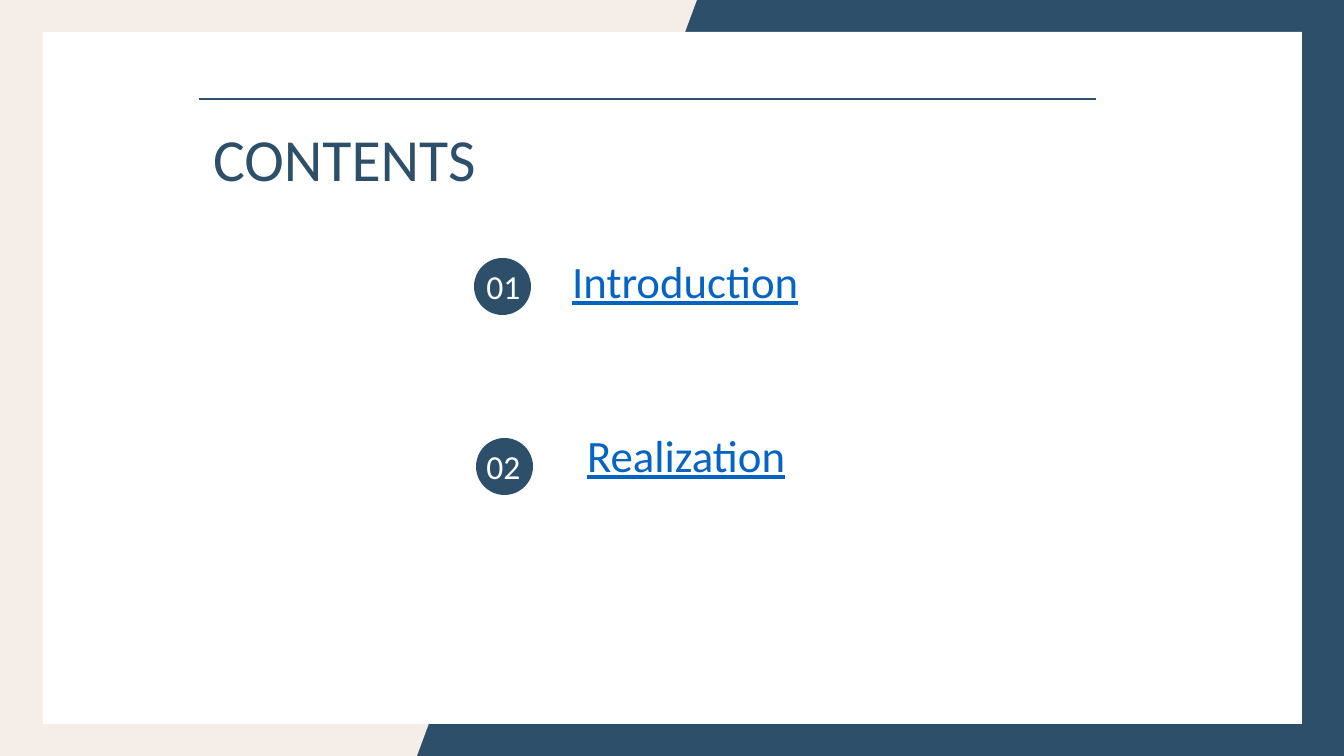
from dataclasses import dataclass

from pptx import Presentation
from pptx.dml.color import RGBColor
from pptx.enum.shapes import MSO_CONNECTOR, MSO_SHAPE
from pptx.enum.text import PP_ALIGN
from pptx.oxml.ns import qn
from pptx.util import Emu, Pt
from lxml import etree

RECT, OVAL = MSO_SHAPE.RECTANGLE, MSO_SHAPE.OVAL
STRAIGHT = MSO_CONNECTOR.STRAIGHT
LEFT, CENTER = PP_ALIGN.LEFT, PP_ALIGN.CENTER
EMU_PER_PX = 914400 / 134.4
WIDTH, HEIGHT = 1344, 756


@dataclass(frozen=True)
class Theme:
    navy: str = "2D4F6A"
    cream: str = "F5EDE7"
    white: str = "FFFFFF"
    backdrop: str = "F7F7F7"
    link: str = "0563C1"
    font: str = "Calibri"
    title_size: int = 32
    label_size: int = 24
    number_size: int = 18


THEME = Theme()


def px(length):
    return Emu(round(length * EMU_PER_PX))


def paint(shape, color):
    shape.shadow.inherit = False
    shape.fill.solid()
    shape.fill.fore_color.rgb = RGBColor.from_string(color)
    shape.line.fill.background()


def add_filled(slide, preset, x, y, w, h, color):
    paint(slide.shapes.add_shape(preset, px(x), px(y), px(w), px(h)), color)


def add_text(slide, text, x, y, w, h, *, size, color, align=LEFT, underline=False):
    frame = slide.shapes.add_textbox(px(x), px(y), px(w), px(h)).text_frame
    frame.word_wrap = True
    paragraph = frame.paragraphs[0]
    paragraph.alignment = align
    run = paragraph.add_run()
    run.text = text
    run.font.name = THEME.font
    run.font.size = Pt(size)
    run.font.color.rgb = RGBColor.from_string(color)
    if underline:
        run.font.underline = True


def add_frame(slide, x, y, w, h):
    """Two-tone border with a slanted split around a white panel."""
    add_filled(slide, RECT, x, y, w, h, THEME.navy)
    builder = slide.shapes.build_freeform(x, y, scale=EMU_PER_PX)
    builder.add_line_segments([(x + 697, y), (x + 417, y + h), (x, y + h)], close=True)
    paint(builder.convert_to_shape(), THEME.cream)
    add_filled(slide, RECT, x + 43, y + 32, w - 85, h - 64, THEME.white)


def add_header(slide, x, y, w):
    """Rule across the top with the title beneath it."""
    rule = slide.shapes.add_connector(STRAIGHT, px(x), px(y), px(x + w), px(y))
    rule.line.color.rgb = RGBColor.from_string(THEME.navy)
    rule.line.width = Pt(1)
    etree.SubElement(rule._element.spPr, qn("a:effectLst"))
    add_text(slide, "CONTENTS", x - 48, y + 16, 387, 90,
             size=THEME.title_size, color=THEME.navy, align=CENTER)


def add_entry(slide, x, y, number, label, badge_dx, label_dx, label_dy):
    add_filled(slide, OVAL, x + badge_dx, y, 57, 57, THEME.navy)
    add_text(slide, number, x, y + 1, 69, 54,
             size=THEME.number_size, color=THEME.white, align=CENTER)
    add_text(slide, label, x + label_dx, y + label_dy, 315, 67,
             size=THEME.label_size, color=THEME.link, underline=True)


def add_contents_slide(deck):
    slide = deck.slides.add_slide(deck.slide_layouts[6])
    slide.background.fill.solid()
    slide.background.fill.fore_color.rgb = RGBColor.from_string(THEME.backdrop)
    add_frame(slide, 0, 0, WIDTH, HEIGHT)
    add_header(slide, 199, 99, 897)
    entries = [("Introduction", 5, 90, -11), ("Realization", 7, 105, -17)]
    for index, (label, *offsets) in enumerate(entries):
        add_entry(slide, 469, 258 + 180 * index, f"{index + 1:02}", label, *offsets)


def main():
    deck = Presentation()
    deck.slide_width, deck.slide_height = px(WIDTH), px(HEIGHT)
    add_contents_slide(deck)
    deck.save("out.pptx")


if __name__ == "__main__":
    main()
